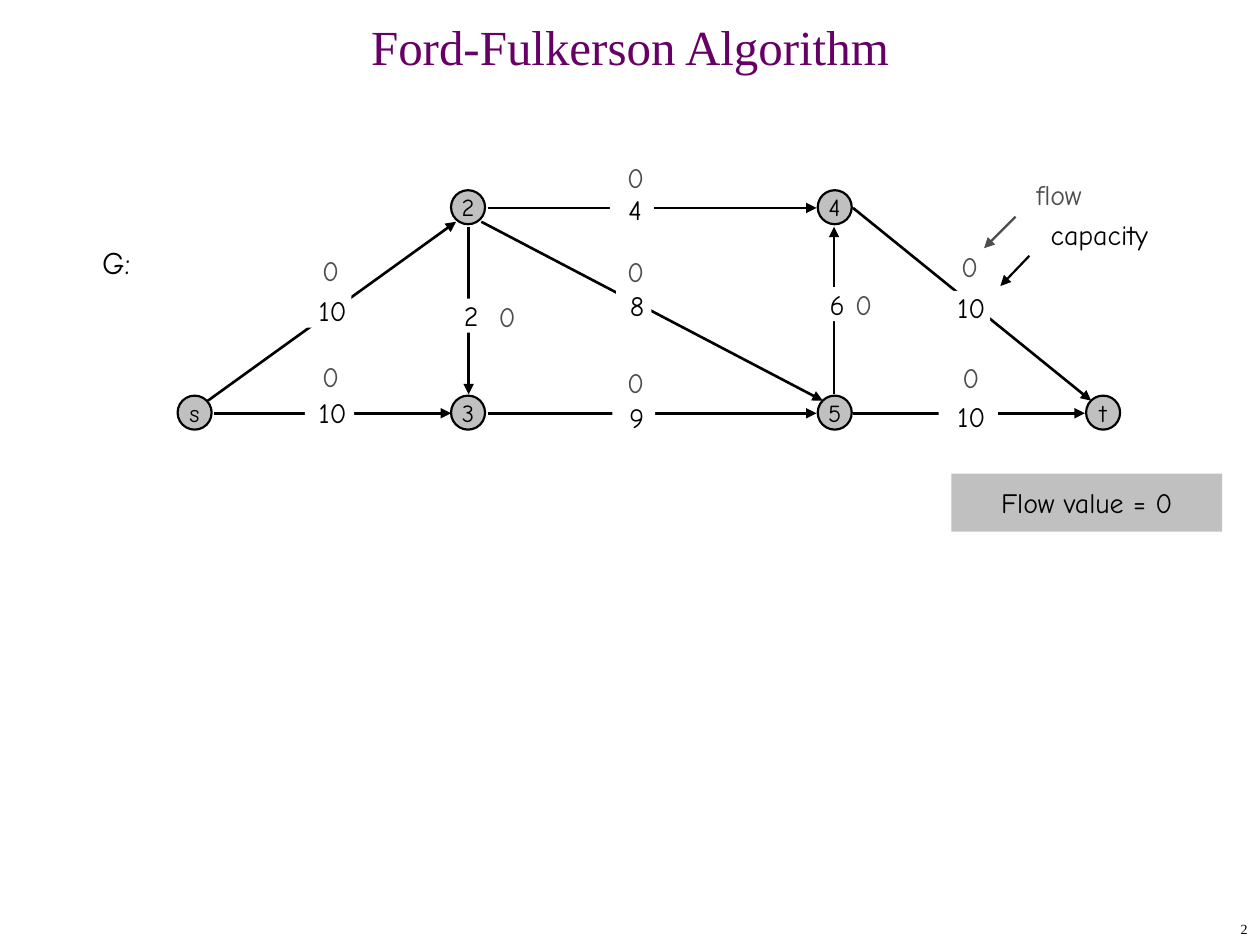
import pptx
import pptx.util
import pptx.dml.color
from pptx.enum.shapes import MSO_CONNECTOR, MSO_SHAPE
from pptx.enum.text import MSO_ANCHOR, PP_ALIGN
from pptx.oxml import parse_xml
from pptx.oxml.ns import nsdecls
from pptx.util import Inches

THEME = {
    "title": {"name": "Times New Roman", "size": 28, "color": "660066"},
    "page": {"name": "Times New Roman", "size": 8, "color": "000000"},
    "node": {"name": "Comic Neue", "size": 14, "color": "000000"},
    "capacity": {"name": "Comic Neue", "size": 16, "color": "000000"},
    "flow": {"name": "Comic Neue", "size": 16, "color": "4D4D4D"},
    "graph": {"name": "Comic Neue", "size": 18, "color": "000000"},
    "ink": "000000",
    "muted": "4D4D4D",
    "panel": "C0C0C0",
    "paper": "FFFFFF",
}


def write(box, text, style, align=PP_ALIGN.CENTER, anchor=MSO_ANCHOR.TOP,
          insets=(0, 0, 0, 0), wrap=True, fill=None):
    """Put one styled paragraph in a box; insets run left, top, right, bottom."""
    if fill:
        box.shadow.inherit = False
        box.fill.solid()
        box.fill.fore_color.rgb = pptx.dml.color.RGBColor.from_string(THEME[fill])
        box.line.fill.background()
    frame = box.text_frame
    sides = ("margin_left", "margin_top", "margin_right", "margin_bottom")
    settings = dict(zip(sides, map(Inches, insets)))
    settings.update(word_wrap=wrap, vertical_anchor=anchor)
    for attribute, value in settings.items():
        setattr(frame, attribute, value)
    paragraph = frame.paragraphs[0]
    paragraph.alignment = align
    run = paragraph.add_run()
    run.text = text
    look = THEME[style]
    run.font.name = look["name"]
    run.font.size = pptx.util.Pt(look["size"])
    run.font.color.rgb = pptx.dml.color.RGBColor.from_string(look["color"])
    return paragraph


def draw_arrow(start, end, color, weight):
    arrow = shapes.add_connector(MSO_CONNECTOR.STRAIGHT, *map(Inches, start + end))
    arrow.line.color.rgb = pptx.dml.color.RGBColor.from_string(THEME[color])
    arrow.line.width = pptx.util.Pt(weight)
    arrow.line._get_or_add_ln().append(
        parse_xml(f'<a:tailEnd {nsdecls("a")} type="triangle"/>'))
    arrow._element.spPr.append(parse_xml(f'<a:effectLst {nsdecls("a")}/>'))


deck = pptx.Presentation()
deck.slide_width, deck.slide_height = Inches(10), Inches(7.5)
slide = deck.slides.add_slide(deck.slide_layouts[6])
shapes = slide.shapes
padding = (0.1, 0.05, 0.1, 0.05)

title = shapes.add_textbox(*map(Inches, (0, 0.17, 10, 0.5)))
write(title, "Ford-Fulkerson Algorithm", "title", anchor=MSO_ANCHOR.MIDDLE,
      insets=padding).line_spacing = 0.7

# Nodes sit on two rows; left and top of each circle
top_row, bottom_row, diameter = 1.51, 3.14, 0.27
nodes = {
    "s": (1.41, bottom_row), "2": (3.58, top_row), "3": (3.58, bottom_row),
    "4": (6.49, top_row), "5": (6.49, bottom_row), "t": (8.62, bottom_row),
}
for name, (left, top) in nodes.items():
    node = shapes.add_shape(
        MSO_SHAPE.OVAL, *map(Inches, (left, top, diameter, diameter)))
    write(node, name, "node", anchor=MSO_ANCHOR.MIDDLE, insets=padding,
          wrap=False, fill="panel")
    node.line.color.rgb = pptx.dml.color.RGBColor.from_string(THEME["ink"])
    node.line.width = pptx.util.Pt(1.25)

# Edge start, edge end, capacity, capacity left/top/width, left shift, flow left/top
near, far = 0.05, 0.16
edges = [
    ((1.65, 3.18), (3.62, 1.76), "10", (2.33, 2.33, 0.46), far, (2.44, 2.01)),
    ((1.70, 3.28), (3.58, 3.28), "10", (2.42, 3.14, 0.39), near, (2.44, 2.85)),
    ((3.87, 3.28), (6.48, 3.28), "9", (4.86, 3.18, 0.34), near, (4.86, 2.90)),
    ((3.87, 1.65), (6.48, 1.65), "4", (4.84, 1.53, 0.35), near, (4.86, 1.27)),
    ((3.72, 1.80), (3.72, 3.13), "2", (3.48, 2.37, 0.47), near, (3.84, 2.38)),
    ((6.62, 3.13), (6.62, 1.80), "6", (6.39, 2.28, 0.46), near, (6.67, 2.28)),
    ((3.82, 1.76), (6.53, 3.18), "8", (4.89, 2.29, 0.28), near, (4.86, 2.02)),
    ((6.77, 1.65), (8.66, 3.18), "10", (7.40, 2.31, 0.46), far, (7.51, 1.98)),
    ((6.77, 3.28), (8.61, 3.28), "10", (7.45, 3.17, 0.47), near, (7.52, 2.86)),
]
for start, end, *_ in edges:
    draw_arrow(start, end, "ink", 1.5)
for _, _, capacity, place, shift, _ in edges:
    label = shapes.add_shape(MSO_SHAPE.RECTANGLE, *map(Inches, place + (0.27,)))
    write(label, capacity, "capacity", insets=(shift, 0, 0, 0), fill="paper")
for *_, place in edges:
    flow = shapes.add_textbox(*map(Inches, place + (0.37, 0.19)))
    write(flow, "0", "flow")

graph_name = shapes.add_shape(
    MSO_SHAPE.RECTANGLE, *map(Inches, (0.74, 1.93, 0.48, 0.3)))
write(graph_name, "G:", "graph", align=PP_ALIGN.LEFT, insets=(0.07, 0, 0, 0),
      fill="paper")

flow_value = shapes.add_shape(
    MSO_SHAPE.RECTANGLE, *map(Inches, (7.55, 3.76, 2.15, 0.46)))
write(flow_value, "Flow value = 0", "capacity", anchor=MSO_ANCHOR.MIDDLE,
      insets=(0.1, 0.15, 0.1, 0.15), fill="panel")

# Legend: wording, box, arrow start, arrow end, arrow colour
legend = [
    ("flow", (8.05, 1.36, 0.71, 0.37), (8.06, 1.72), (7.81, 1.97), "muted"),
    ("capacity", (8.11, 1.68, 1.23, 0.37), (8.17, 2.03), (7.94, 2.27), "ink"),
]
for term, place, start, end, color in legend:
    write(shapes.add_textbox(*map(Inches, place)), term, term, insets=padding)
    draw_arrow(start, end, color, 1.25)

page_number = shapes.add_textbox(*map(Inches, (7.92, 7.25, 2.08, 0.25)))
write(page_number, "2", "page", align=PP_ALIGN.RIGHT, anchor=MSO_ANCHOR.MIDDLE,
      insets=padding)

deck.save("out.pptx")
